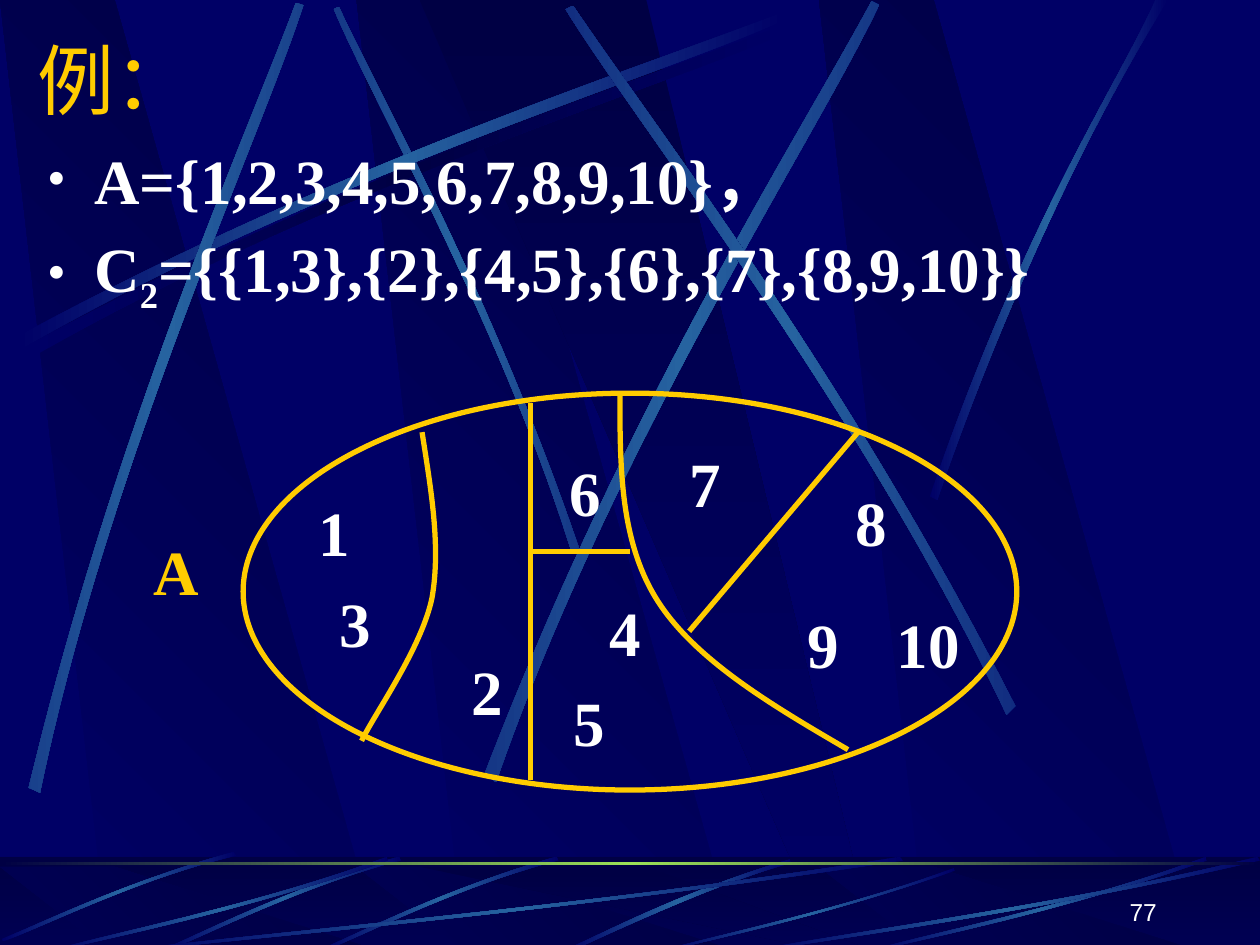
import math

import pptx
import pptx.dml.color
import pptx.enum.shapes
import pptx.enum.text
import pptx.oxml
import pptx.oxml.ns
import pptx.util

Pt = pptx.util.Pt
rgb = pptx.dml.color.RGBColor.from_string
qn = pptx.oxml.ns.qn
SHAPE = pptx.enum.shapes.MSO_SHAPE
ALIGN = pptx.enum.text.PP_ALIGN
ANCHOR = pptx.enum.text.MSO_ANCHOR

NAVY, DARK, BLUE, GOLD, WHITE = "000066", "000044", "2663A0", "FFCC00", "FFFFFF"
UNIT = Pt(0.72)  # grid step of the outline coordinates

deck = pptx.Presentation()
deck.slide_width, deck.slide_height = Pt(720), Pt(540)
slide = deck.slides.add_slide(deck.slide_layouts[5])
master = deck.slide_master
master.background.fill.solid()
master.background.fill.fore_color.rgb = rgb(NAVY)
shapes = slide.shapes


def add_outline(parent, start, segments, closed=True, turn=0, centre=(0, 0)):
    """Draw lines (2 numbers) and Bezier curves (6 numbers), given as they look after the turn."""
    points = [start]
    for segment in segments:
        points += zip(segment[::2], segment[1::2])
    cos, sin = math.cos(math.radians(turn)), math.sin(math.radians(turn))
    cx, cy = centre
    flat = [(round(UNIT * (cx + (x - cx) * cos + (y - cy) * sin)),
             round(UNIT * (cy - (x - cx) * sin + (y - cy) * cos))) for x, y in points]
    builder = parent.build_freeform(*flat[0], scale=1.0)
    builder.add_line_segments(flat[1:], close=closed)
    outline = builder.convert_to_shape()
    outline.rotation = turn
    outline.shadow.inherit = False
    # Three successive lines become the control points of one curve
    steps = iter(list(outline._element.iter(qn("a:lnTo"))))
    for segment in segments:
        step = next(steps)
        if len(segment) == 6:
            curve = step.makeelement(qn("a:cubicBezTo"), {})
            step.addprevious(curve)
            for part in (step, next(steps), next(steps)):
                curve.append(part[0])
                part.getparent().remove(part)
    return outline


def write(paragraph, text, size=36, color=WHITE, font="Times New Roman", bold=True,
          align=None, indent=None, hanging=0, spacing=None, before=0, baseline=None):
    run = paragraph.add_run()
    run.text = text
    run.font.size, run.font.bold, run.font.name = Pt(size), bold, font
    run.font.color.rgb = rgb(color)
    if baseline:
        run.font._element.set("baseline", str(baseline))
    paragraph.alignment = align
    paragraph.line_spacing = spacing
    paragraph.space_before = Pt(before)
    if indent is not None:
        paragraph._p.get_or_add_pPr().set("marL", str(Pt(hanging)))
        paragraph._p.get_or_add_pPr().set("indent", str(Pt(indent)))


# Backdrop: wide panels, thin streaks, and the footer band
sweep, fall, glow, shade = (NAVY, DARK), (DARK, NAVY), (NAVY, BLUE, NAVY), (NAVY, DARK, NAVY)

panels = []
for top, bottom in ((0, 752), (688, 755)):
    row = [([(dx + 86, bottom), (dx + 302, bottom), (dx + 91, top), (dx, top)], sweep, 315)
           for dx in (283, 0, 650)]
    row.append(([(333, top), (658, bottom), (694, bottom), (513, top)], fall, 90))
    panels.append(row)
upper_panels, lower_panels = panels

# Each streak: start, curve, far edge, curve back; then turn and centre of turn
upper_streaks = [
    ((20, 275), (284, 134, 524, 59, 626, 18), (629, 24), (528, 69, 254, 151, 23, 285), 0, (0, 0)),
    ((460, 436), (391, 234, 302, 77, 269, 5), (265, 7), (295, 79, 398, 258, 454, 439), 45, (362, 222.5)),
    ((14, 267), (278, 125, 518, 51, 620, 10), (623, 16), (522, 61, 248, 143, 17, 277), 0, (0, 0)),
    ((23, 625), (93, 334, 197, 105, 235, 2), (241, 4), (207, 109, 86, 368, 32, 629), 311.7, (133, 315.5)),
    ((385, 614), (498, 320, 638, 102, 692, 1), (698, 4), (649, 108, 486, 355, 394, 621), 321.6, (543, 310.5)),
    ((806, 560), (670, 293, 516, 95, 455, 4), (449, 7), (507, 101, 685, 325, 799, 567), 34.7, (627, 285.5)),
    ((738, 394), (814, 173, 888, 66, 917, 0), (927, 0), (836, 145, 769, 322, 744, 397), 0, (0, 0)),
]
lower_streaks = [
    ((627, 682), (537, 709, 477, 742, 448, 754), (453, 755), (490, 738, 571, 700, 628, 685), 0, (0, 0)),
    *[((dx + 317, 680), (dx + 230, 705, dx + 162, 740, dx + 131, 753), (dx + 132, 755),
       (dx + 163, 743, dx + 240, 703, dx + 319, 683), 315, (dx + 225, 717.5)) for dx in (125, 0)],
    ((185, 676), (98, 700, 32, 733, 1, 745), (2, 747), (33, 736, 109, 697, 187, 679), 315, (94, 712.5)),
    ((717, 683), (449, 723, 206, 744, 103, 755), (100, 754), (202, 741, 480, 718, 714, 680), 0, (0, 0)),
    ((308, 683), (193, 723, 88, 744, 43, 755), (42, 754), (86, 741, 206, 718, 307, 680), 0, (0, 0)),
    ((758, 691), (658, 726, 567, 745, 528, 755), (527, 754), (565, 743, 669, 722, 757, 689), 0, (0, 0)),
    ((958, 683), (843, 723, 738, 744, 693, 755), (692, 754), (736, 741, 856, 718, 957, 680), 0, (0, 0)),
    ((1000, 683), (827, 723, 669, 744, 602, 755), (600, 754), (666, 741, 846, 718, 998, 680), 0, (0, 0)),
]
footer_band = (0, 489.6, 720, 54)
pieces = [*upper_panels, (upper_streaks[0], shade, 0), *[(s, glow, 0) for s in upper_streaks[1:]],
          (footer_band, fall, 90), *lower_panels, (footer_band, (DARK,), 0),
          *[(s, glow, 0) for s in lower_streaks],
          ((0, 492.5, 720, 1.75), (DARK, "9CE157", DARK), 0)]

backdrop = shapes.add_group_shape()
for geometry, colors, angle in pieces:
    if isinstance(geometry, list):
        piece = add_outline(backdrop.shapes, geometry[0], geometry[1:])
    elif len(geometry) == 6:
        *edge, turn, centre = geometry
        piece = add_outline(backdrop.shapes, edge[0], edge[1:], turn=turn, centre=centre)
    else:
        piece = backdrop.shapes.add_shape(SHAPE.RECTANGLE, *map(Pt, geometry))
        piece.shadow.inherit = False
    piece.line.fill.background()
    if len(colors) == 1:
        piece.fill.solid()
        piece.fill.fore_color.rgb = rgb(colors[0])
        tint = piece._element.spPr.find(qn("a:solidFill"))[0]
        tint.append(tint.makeelement(qn("a:alpha"), {"val": "50000"}))
        continue
    stops = "".join(f'<a:gs pos="{100000 * i // (len(colors) - 1)}"><a:srgbClr val="{c}"/></a:gs>'
                    for i, c in enumerate(colors))
    piece._element.spPr.insert(2, pptx.oxml.parse_xml(
        f'<a:gradFill {pptx.oxml.ns.nsdecls("a")} rotWithShape="0"><a:gsLst>{stops}</a:gsLst>'
        f'<a:lin ang="{angle * 60000}" scaled="1"/></a:gradFill>'))

# The backdrop belongs to the master, behind its placeholders
for label in backdrop._element.iter(qn("p:cNvPr")):
    label.set("id", str(int(label.get("id")) + 100))
master.shapes._spTree.insert(2, backdrop._element)

# Title
title = shapes.title
title.left, title.top, title.width, title.height = map(Pt, (14.4, 15.12, 612, 59.76))
title.text_frame.vertical_anchor = ANCHOR.MIDDLE
write(title.text_frame.paragraphs[0], "例：", size=44, color=GOLD, font="Montserrat",
      bold=False, align=ALIGN.LEFT)

# The set and its partition
sets = shapes.add_textbox(*map(Pt, (19.44, 77.04, 686.16, 402.48))).text_frame
sets.word_wrap = True
set_lines = [[("A={1,2,3,4,5,6,7,8,9,10}，", None)],
             [("C", None), ("2", -25000), ("={{1,3},{2},{4,5},{6},{7},{8,9,10}}", None)]]
for row, parts in enumerate(set_lines):
    line = sets.add_paragraph() if row else sets.paragraphs[0]
    bullet = line._p.get_or_add_pPr()
    for tag, attribute, value in (("a:buSzPct", "val", "85000"),
                                  ("a:buFont", "typeface", "Times New Roman"),
                                  ("a:buChar", "char", "•")):
        bullet.append(bullet.makeelement(qn(tag), {attribute: value}))
    for text, baseline in parts:
        write(line, text, baseline=baseline, indent=-27, hanging=27.4, before=7.2 * row)

# Ellipse and the curves and lines that divide it
ellipse = shapes.add_shape(SHAPE.OVAL, *map(Pt, (138.96, 224.64, 442.08, 226.8)))
ellipse.shadow.inherit = False
dividers = [
    ellipse,
    add_outline(shapes, (421, 320), [(421, 445, 421, 569, 421, 619)], False),
    add_outline(shapes, (492, 312), [(492, 371, 492, 430, 522, 477), (552, 524, 613, 560, 673, 595)], False),
    add_outline(shapes, (335, 343), [(342, 388, 350, 433, 343, 474), (335, 514, 297, 567, 287, 588)], False)]
for divider in dividers:
    divider.fill.background()
for ends in ((303.12, 315.36, 360, 315.36), (490.32, 246.96, 393.84, 360.72)):
    dividers.append(shapes.add_connector(pptx.enum.shapes.MSO_CONNECTOR.STRAIGHT, *map(Pt, ends)))
for divider in dividers:
    divider.line.color.rgb = rgb(GOLD)
    divider.line.width = Pt(3)
    properties = divider._element.spPr
    if properties.find(qn("a:effectLst")) is None:
        properties.append(properties.makeelement(qn("a:effectLst"), {}))

# Elements in each block: box, colour, lines as (text, indent, space before)
blocks = [
    ((150.48, 270, 96.48, 110.88), WHITE, [("1", 24.5, 0), ("3", 36.5, 0)]),
    ((320.4, 326.88, 67.68, 110.88), WHITE, [("4 5", 21, 0)]),
    ((433.44, 264.24, 124.56, 132.48), WHITE, [("8", 48.5, 0), ("9\t10", 21, 18)]),
    ((241.2, 360.72, 51.12, 59.04), WHITE, [("2", 21, 0)]),
    ((297.36, 246.96, 68.4, 59.04), WHITE, [("6", 21, 0)]),
    ((365.76, 241.92, 79.2, 59.04), WHITE, [("7", 21, 0)]),
    ((59.76, 292.32, 84.96, 59.04), GOLD, [("A", 21, 0)]),
]
for box, color, lines in blocks:
    block = shapes.add_textbox(*map(Pt, box)).text_frame
    block.word_wrap = True
    for row, (text, indent, before) in enumerate(lines):
        line = block.add_paragraph() if row else block.paragraphs[0]
        if "\t" in text:
            line._p.get_or_add_pPr().append(pptx.oxml.parse_xml(
                f'<a:tabLst {pptx.oxml.ns.nsdecls("a")}><a:tab pos="{Pt(42)}" algn="l"/></a:tabLst>'))
        write(line, text, color=color, indent=indent, spacing=1.2, before=before)

# Page number
page = shapes.add_textbox(*map(Pt, (518.4, 496.8, 149.76, 36))).text_frame
page.word_wrap = True
page.vertical_anchor = ANCHOR.BOTTOM
write(page.paragraphs[0], "77", size=14, font="Arial", bold=False, align=ALIGN.RIGHT)

deck.save("out.pptx")
